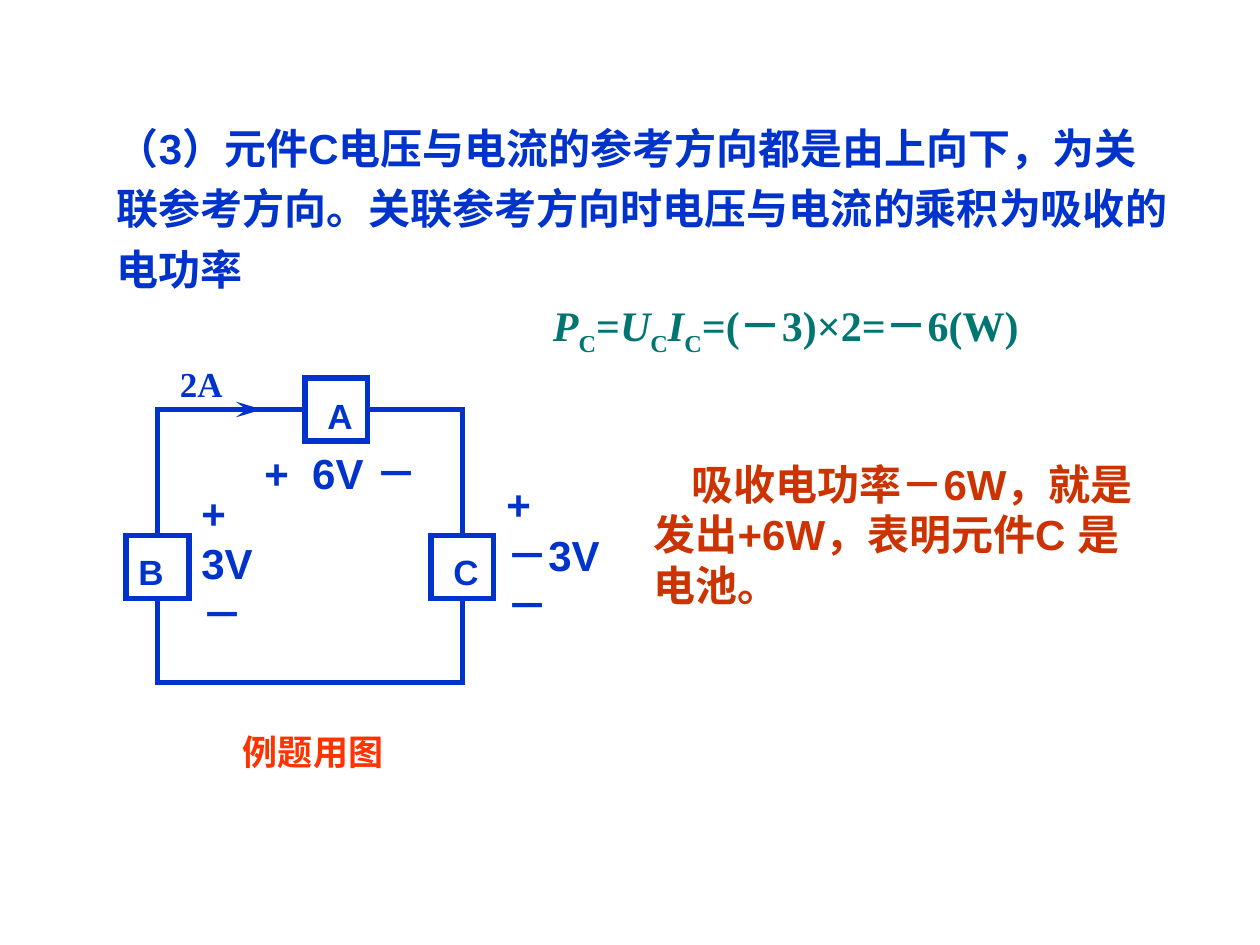
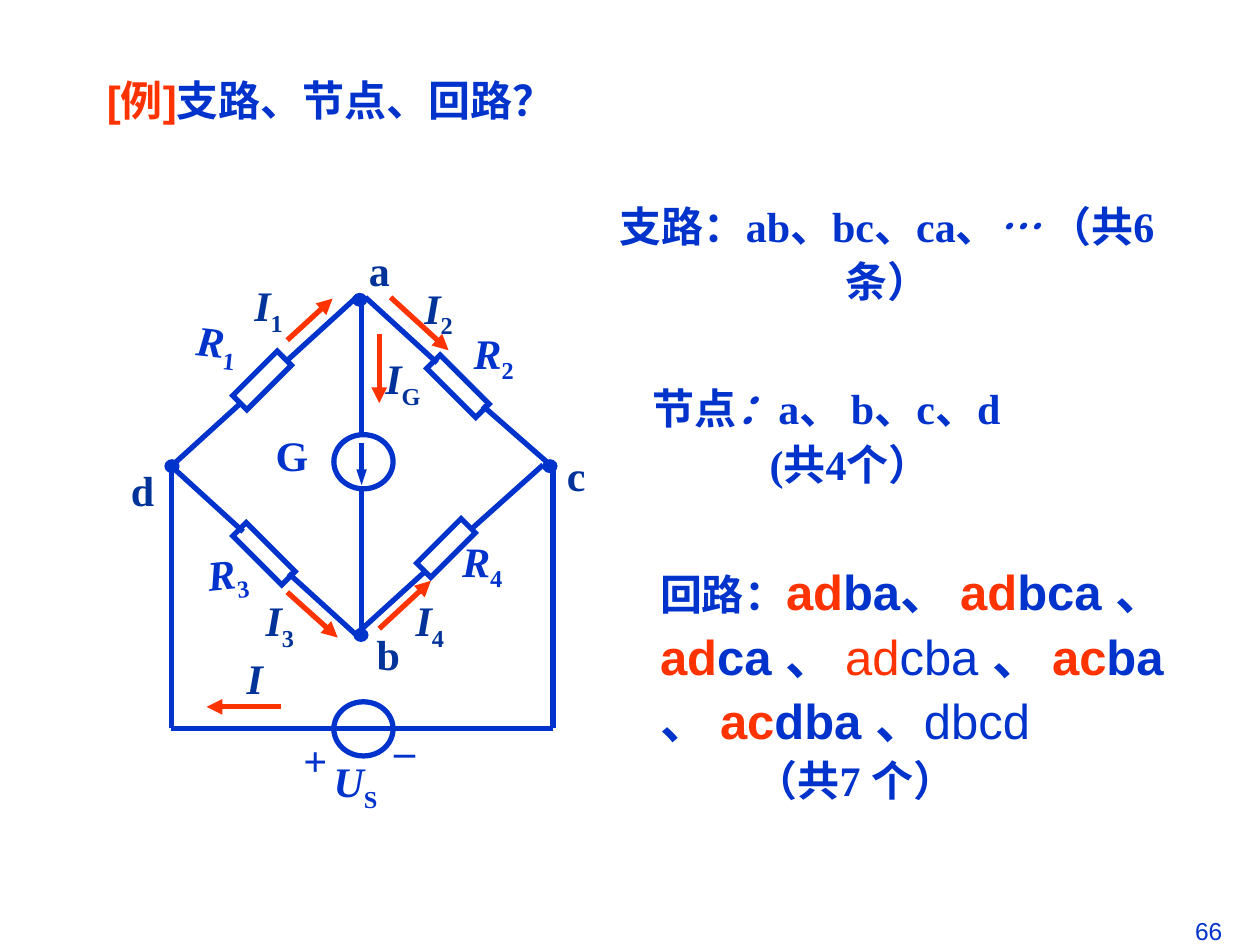
"""Build two circuit-theory slides: element power, and branches, nodes and loops."""
from lxml.etree import SubElement
from pptx import Presentation
from pptx.dml.color import RGBColor
from pptx.enum.shapes import MSO_CONNECTOR, MSO_SHAPE
from pptx.enum.text import MSO_ANCHOR, PP_ALIGN
from pptx.oxml.ns import qn
from pptx.util import Pt

PX = 9144
BLUE = RGBColor(0x00, 0x33, 0xCC)
NAVY = RGBColor(0x00, 0x33, 0x99)
RED = RGBColor(0xFF, 0x33, 0x00)
RUST = RGBColor(0xCC, 0x33, 0x00)
TEAL = RGBColor(0x00, 0x75, 0x72)
WHITE = RGBColor(0xFF, 0xFF, 0xFF)
SANS = "Arial"
SERIF = "Times New Roman"


def add_text(page, place, lines, color=BLUE, size=24, font=SERIF, wrap=True):
    box = page.shapes.add_textbox(*[length * PX for length in place])
    frame = box.text_frame
    frame.word_wrap = wrap
    for number, spans in enumerate(lines):
        para = frame.add_paragraph() if number else frame.paragraphs[0]
        for text, style in spans:
            span = para.add_run()
            span.text = text
            span.font.name = SANS if "loop" in style else font
            span.font.size = Pt(28 if "loop" in style else size)
            span.font.bold = "light" not in style
            span.font.italic = "italic" in style
            span.font.color.rgb = RED if "red" in style else color
            if "sub" in style:
                span.font._element.set("baseline", "-25000")
    return box


def add_line(page, ends, color=BLUE, arrow=None, breadth="med", length="med"):
    line = page.shapes.add_connector(
        MSO_CONNECTOR.STRAIGHT, *[position * PX for position in ends])
    line.line.color.rgb = color
    line.line.width = Pt(3)
    if arrow:
        SubElement(line.line._get_or_add_ln(), qn("a:tailEnd"),
                   type=arrow, w=breadth, len=length)
    SubElement(line._element.spPr, qn("a:effectLst"))


deck = Presentation()
deck.slide_width = 1000 * PX
deck.slide_height = 750 * PX
power_page, bridge_page = [deck.slides.add_slide(deck.slide_layouts[6]) for _ in range(2)]

outlines = [(power_page, MSO_SHAPE.RECTANGLE, (125, 325, 242, 217), 0, None, 3)]
for left, top in [(100, 425), (342, 425), (242, 300)]:
    outlines.append((power_page, MSO_SHAPE.RECTANGLE, (left, top, 50, 50), 0, WHITE, 3))
for place, angle in [((346, 410, 16, 50), 45), ((200, 277, 16, 50), 45),
                     ((202, 412, 15, 55), 315), ((356, 279, 15, 55), 315)]:
    outlines.append((bridge_page, MSO_SHAPE.RECTANGLE, place, angle, None, 3))
for top in (345, 557):
    outlines.append((bridge_page, MSO_SHAPE.OVAL, (265, top, 47, 43), 0, None, 3))
for left, top in [(431, 365), (280, 233), (131, 365), (281, 499)]:
    outlines.append((bridge_page, MSO_SHAPE.OVAL, (left, top, 11, 10), 0, BLUE, 0.75))

for page, kind, place, angle, fill, weight in outlines:
    shape = page.shapes.add_shape(kind, *[length * PX for length in place])
    shape.rotation = angle
    shape.shadow.inherit = False
    shape.line.color.rgb = BLUE
    shape.line.width = Pt(weight)
    SubElement(shape.line._get_or_add_ln(), qn("a:miter"), lim="800000")
    if fill is None:
        shape.fill.background()
    else:
        shape.fill.solid()
        shape.fill.fore_color.rgb = fill

add_line(power_page, (158, 325, 208, 325), arrow="stealth", length="lg")
for name, left, top in [("A", 250, 308), ("B", 100, 432), ("C", 350, 432)]:
    add_text(power_page, (left, top, 58, 44), [[(name, "")]], size=20, font=SANS)
add_text(power_page, (133, 283, 100, 44), [[("2A", "")]], size=20)
add_text(power_page, (150, 382, 83, 130),
         [[(text, "")] for text in ("+", "3V", "－")], font=SANS)
add_text(power_page, (392, 375, 100, 170),
         [[(text, "")] for text in ("+", "－3V", "－")], font=SANS)

voltage = add_text(power_page, (200, 350, 183, 50), [[("+\t6V －", "")]], font=SANS)
tabs = SubElement(voltage.text_frame.paragraphs[0]._p.get_or_add_pPr(), qn("a:tabLst"))
SubElement(tabs, qn("a:tab"), pos=str(38 * PX), algn="l")

add_text(power_page, (429, 233, 433, 56), [[
    ("P", "italic"), ("C", "sub"), ("=", ""), ("U", "italic"), ("C", "sub"),
    ("I", "italic"), ("C", "sub"), ("=(－3)×2=－6(W)", "")]], TEAL)
conclusion = add_text(
    power_page, (509, 359, 417, 130),
    [[("吸收电功率－6W，就是发出+6W，表明元件C 是电池。", "")]], RUST, font=SANS)
conclusion.text_frame.paragraphs[0]._p.get_or_add_pPr().set("indent", str(30 * PX))
statement = add_text(
    power_page, (83, 84, 858, 154),
    [[("（3）元件C电压与电流的参考方向都是由上向下，为关联参考方向。"
       "关联参考方向时电压与电流的乘积为吸收的电功率", "")]], font=SANS)
statement.text_frame.paragraphs[0].line_spacing = 1.2
add_text(power_page, (183, 575, 133, 44), [[("例题用图", "")]], RED, 20, SANS)

wires = [
    (287, 345, 287, 236), (287, 386, 287, 503), (439, 370, 439, 578),
    (136, 368, 136, 578), (439, 578, 136, 578), (374, 420, 431, 369),
    (338, 453, 283, 503), (228, 286, 284, 235), (191, 320, 136, 370),
    (193, 422, 136, 370), (229, 455, 284, 505), (347, 288, 290, 236),
    (383, 322, 439, 371)]
for ends in wires:
    add_line(bridge_page, ends)
currents = [
    (301, 265, 301, 320), (223, 561, 164, 561), (310, 236, 356, 278),
    (301, 499, 342, 461), (228, 470, 268, 506), (228, 270, 264, 237)]
for ends in currents:
    add_line(bridge_page, ends, RED, "triangle")
add_line(bridge_page, (287, 352, 287, 385), arrow="triangle", breadth="sm")

plain_labels = [
    ("a", 283, 189, 36, NAVY), ("d", 94, 364, 38, NAVY), ("b", 289, 494, 38, NAVY),
    ("c", 440, 352, 35, NAVY), ("–", 303, 570, 37, BLUE), ("+", 231, 578, 39, BLUE),
    ("G", 209, 336, 46, BLUE)]
for text, left, top, width, color in plain_labels:
    add_text(bridge_page, (left, top, width, 50), [[(text, "")]], color, wrap=False)
symbols = [
    ("U", "S", 255, 595, 73, 0, BLUE), ("R", "3", 155, 429, 56, 353.9, BLUE),
    ("R", "4", 357, 420, 56, 0.5, BLUE), ("R", "1", 146, 246, 56, 6.2, BLUE),
    ("R", "2", 366, 255, 56, 359.7, BLUE), ("I", "2", 327, 219, 60, 0, NAVY),
    ("I", "4", 320, 467, 60, 0, NAVY), ("I", "G", 296, 275, 60, 0, NAVY),
    ("I", "1", 192, 217, 60, 0, NAVY), ("I", "3", 201, 467, 60, 0, NAVY)]
for letter, index, left, top, width, angle, color in symbols:
    symbol = add_text(bridge_page, (left, top, width, 56),
                      [[(letter, "italic"), (index, "sub")]], color)
    symbol.rotation = angle
add_text(bridge_page, (186, 513, 51, 50), [[("I", "italic")]], NAVY)

title = add_text(bridge_page, (75, 50, 483, 58),
                 [[("[例]", "red"), ("支路、节点、回路？", "")]], font=SANS)
title.text_frame.vertical_anchor = MSO_ANCHOR.MIDDLE
branches = add_text(bridge_page, (475, 150, 458, 98), [[
    ("支路：ab、bc、ca、", ""), ("… ", "italic"), ("（共6条）", "")]])
branches.text_frame.paragraphs[0].alignment = PP_ALIGN.CENTER
nodes = add_text(bridge_page, (508, 295, 375, 98), [
    [("节点", ""), ("：", "italic"), ("a、 b、c、d", "")], [("(共4个）", "")]])
loops = add_text(bridge_page, (514, 436, 427, 260), [
    [("回路：", ""), ("ad", "loop red"), ("ba、 ", "loop"),
     ("ad", "loop red"), ("bca 、 ", "loop"), ("ad", "loop red"), ("ca 、 ", "loop"),
     ("ad", "loop red light"), ("cba ", "loop light"), ("、 ", "loop"),
     ("ac", "loop red"), ("ba 、 ", "loop"), ("ac", "loop red"), ("dba 、", "loop"),
     ("dbcd", "loop light")],
    [("（共7 个）", "")]])
for box in (branches, nodes, loops):
    for para in box.text_frame.paragraphs:
        para.line_spacing = 1.1
for box, indent in [(nodes, 93), (loops, 76)]:
    box.text_frame.paragraphs[1]._p.get_or_add_pPr().set("marL", str(indent * PX))

number = add_text(bridge_page, (730, 722, 250, 28), [[("66", "light")]], size=14, font=SANS)
number.text_frame.paragraphs[0].alignment = PP_ALIGN.RIGHT

deck.save("out.pptx")
